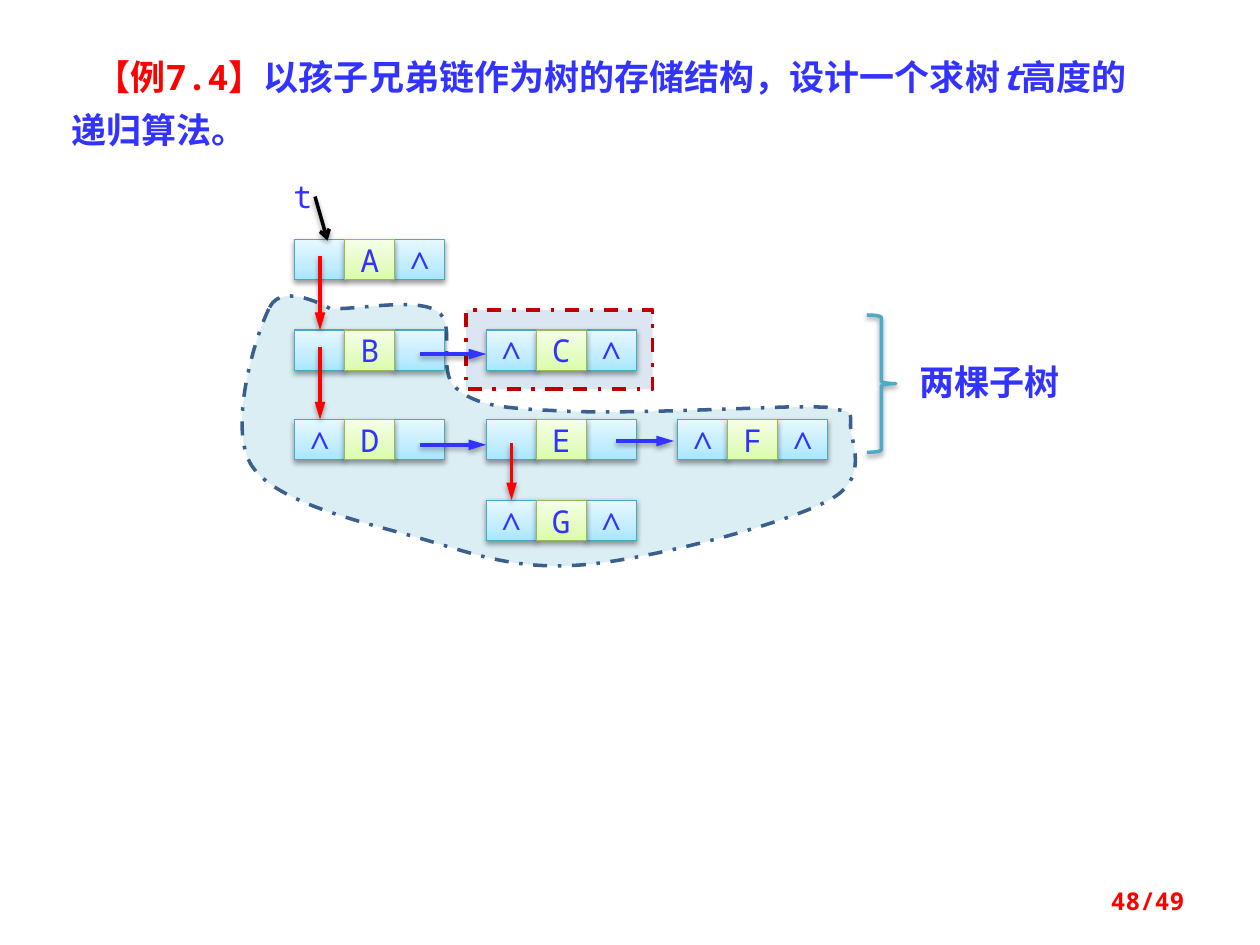
from dataclasses import dataclass
from typing import Any, NamedTuple, Optional

import pptx
import pptx.dml.color
import pptx.enum.dml
import pptx.enum.shapes
import pptx.enum.text
import pptx.oxml.ns
import pptx.util
from copy import deepcopy
from lxml import etree

Inches = pptx.util.Inches
Pt = pptx.util.Pt
Shape = pptx.enum.shapes.MSO_SHAPE
Align = pptx.enum.text.PP_ALIGN
Anchor = pptx.enum.text.MSO_ANCHOR
qn = pptx.oxml.ns.qn


@dataclass(frozen=True)
class Theme:
    mono: str = "Noto Sans Mono"
    hans: str = "Noto Sans CJK SC"
    blue: str = "3333FF"
    red: str = "FF0000"
    black: str = "000000"
    teal: str = "4BACC6"
    zone_fill: str = "DBEEF4"
    zone_line: str = "3A5F8C"
    leaf_fill: str = "DCE6F2"
    leaf_line: str = "C00000"
    link_line: str = "46AAC5"
    link_stops: tuple = ("A7E6FF", "C1EDFF", "E7F8FF")
    data_line: str = "98B955"
    data_stops: tuple = ("DAFDA7", "E4FCC2", "F5FFE7")
    big: int = 20
    body: int = 18
    small: int = 14
    thin: float = 0.75
    thick: float = 2


THEME = Theme()
NODE_W = 1.19
CELL_W, CELL_H = NODE_W / 3, 0.32
COLS = [2.34 + 1.52 * i for i in range(3)]
ROWS = [1.9, 2.62, 3.33, 3.97]
NIL = "∧"


class Node(NamedTuple):
    name: str
    col: int
    row: int
    child: str
    next: str


class Arrow(NamedTuple):
    start: tuple
    end: tuple
    color: str
    head: str = "triangle"
    reach: str = "lg"


NODES = [
    Node("A", 0, 0, "", NIL),
    Node("B", 0, 1, "", ""),
    Node("C", 1, 1, NIL, NIL),
    Node("D", 0, 2, NIL, ""),
    Node("E", 1, 2, "", ""),
    Node("F", 2, 2, NIL, NIL),
    Node("G", 1, 3, NIL, NIL),
]

ARROWS = [
    Arrow((2.54, 2.03), (2.54, 2.62), THEME.red),
    Arrow((2.54, 2.75), (2.54, 3.33), THEME.red),
    Arrow((4.06, 3.52), (4.06, 3.97), THEME.red),
    Arrow((3.33, 2.81), (3.86, 2.81), THEME.blue),
    Arrow((3.33, 3.53), (3.86, 3.53), THEME.blue),
    Arrow((4.89, 3.5), (5.35, 3.5), THEME.blue),
    Arrow((2.5, 1.56), (2.6, 1.91), THEME.black, "arrow", "med"),
]

# Each curve: two control points, then its end.
ZONE_START = (2.14, 2.44)
ZONE_CURVES = [
    ((2.24, 2.23), (2.62, 2.45), (2.62, 2.45)),
    ((2.84, 2.46), (3.3, 2.36), (3.47, 2.47)),
    ((3.63, 2.57), (3.46, 2.95), (3.62, 3.08)),
    ((3.78, 3.22), (3.98, 3.24), (4.42, 3.26)),
    ((4.87, 3.29), (5.89, 3.24), (6.26, 3.23)),
    ((6.63, 3.23), (6.56, 3.23), (6.64, 3.25)),
    ((6.73, 3.27), (6.76, 3.25), (6.75, 3.37)),
    ((6.74, 3.49), (6.92, 3.79), (6.58, 3.97)),
    ((6.23, 4.16), (5.19, 4.43), (4.66, 4.48)),
    ((4.12, 4.53), (3.8, 4.41), (3.36, 4.28)),
    ((2.91, 4.15), (2.2, 4), (2, 3.7)),
    ((1.8, 3.4), (2.03, 2.65), ZONE_START),
]


def rgb(code: str) -> pptx.dml.color.RGBColor:
    return pptx.dml.color.RGBColor.from_string(code)


def stroke(item: Any, color: str, width: float, dashed: bool = False) -> None:
    item.line.color.rgb = rgb(color)
    item.line.width = Pt(width)
    if dashed:
        item.line.dash_style = pptx.enum.dml.MSO_LINE.DASH_DOT


def paint(item: Any, color: str) -> None:
    item.fill.solid()
    item.fill.fore_color.rgb = rgb(color)


def cast(item: Any) -> None:
    """Give the item a soft shadow below; call it after the line is set."""
    effects = etree.SubElement(item.element.spPr, qn("a:effectLst"))
    outer = etree.SubElement(effects, qn("a:outerShdw"), blurRad=str(Pt(3.1)),
                             dist=str(Pt(1.6)), dir="5400000", rotWithShape="0")
    tint = etree.SubElement(outer, qn("a:srgbClr"), val=THEME.black)
    etree.SubElement(tint, qn("a:alpha"), val="38000")


def style(para: Any, size: int, color: str, bold: bool = False) -> None:
    font = para.font
    font.size, font.bold, font.name = Pt(size), bold, THEME.mono
    font.color.rgb = rgb(color)
    etree.SubElement(para._p.pPr.find(qn("a:defRPr")), qn("a:ea"),
                     typeface=THEME.hans)


def label(shapes: Any, box: tuple, text: str, size: int, color: str,
          bold: bool = False, align: Optional[Any] = None) -> Any:
    frame = shapes.add_textbox(*map(Inches, box)).text_frame
    frame.word_wrap = True
    para = frame.paragraphs[0]
    if text:
        para.add_run().text = text
    if align is not None:
        para.alignment = align
    style(para, size, color, bold)
    return frame


def draw_cell(shapes: Any, left: float, top: float, text: str,
              stops: tuple, line: str) -> None:
    cell = shapes.add_shape(Shape.RECTANGLE, *map(Inches, (left, top, CELL_W, CELL_H)))
    cell.fill.gradient()
    cell.fill.gradient_angle = 90
    first = cell.fill._xPr.find(".//" + qn("a:gs"))
    first.addnext(deepcopy(first))
    for stop, place, code in zip(cell.fill.gradient_stops, (0, 0.35, 1), stops):
        stop.color.rgb = rgb(code)
        stop.position = place
    stroke(cell, line, THEME.thin)
    cast(cell)
    if text:
        frame = cell.text_frame
        frame.word_wrap = False
        frame.vertical_anchor = Anchor.MIDDLE
        para = frame.paragraphs[0]
        para.add_run().text = text
        para.alignment = Align.CENTER
        style(para, THEME.body, THEME.blue)


def draw_node(shapes: Any, node: Node) -> None:
    """Draw both link cells, then the data cell over their edges."""
    left, top = COLS[node.col], ROWS[node.row]
    for slot, text in ((0, node.child), (2, node.next)):
        draw_cell(shapes, left + slot * CELL_W, top, text,
                  THEME.link_stops, THEME.link_line)
    draw_cell(shapes, left + CELL_W, top, node.name,
              THEME.data_stops, THEME.data_line)


def draw_arrow(shapes: Any, arrow: Arrow) -> None:
    line = shapes.add_connector(pptx.enum.shapes.MSO_CONNECTOR.STRAIGHT,
                                *map(Inches, arrow.start + arrow.end))
    stroke(line, arrow.color, THEME.thick)
    etree.SubElement(line.line._ln, qn("a:tailEnd"), type=arrow.head,
                     w="med", len=arrow.reach)
    cast(line)


def draw_zone(shapes: Any) -> None:
    """Outline the larger subtree, joining each three points into a curve."""
    maker = shapes.build_freeform(*map(Inches, ZONE_START))
    maker.add_line_segments([tuple(map(Inches, point))
                             for curve in ZONE_CURVES for point in curve])
    zone = maker.convert_to_shape()
    legs = list(zone.element.spPr.iter(qn("a:lnTo")))
    route = legs[0].getparent()
    for i in range(0, len(legs), 3):
        curve = etree.SubElement(route, qn("a:cubicBezTo"))
        for leg in legs[i:i + 3]:
            curve.append(leg[0])
            route.remove(leg)
    etree.SubElement(route, qn("a:close"))
    zone.shadow.inherit = False
    paint(zone, THEME.zone_fill)
    stroke(zone, THEME.zone_line, THEME.thick, True)


def draw_trees(shapes: Any) -> None:
    draw_zone(shapes)
    leaf = shapes.add_shape(Shape.RECTANGLE, *map(Inches, (3.7, 2.46, 1.48, 0.63)))
    leaf.shadow.inherit = False
    paint(leaf, THEME.leaf_fill)
    stroke(leaf, THEME.leaf_line, THEME.thick, True)
    label(shapes, (7.2, 2.81, 1.41, 0.44), "两棵子树", THEME.big, THEME.blue, True)
    brace = shapes.add_shape(Shape.RIGHT_BRACE, *map(Inches, (6.88, 2.5, 0.23, 1.09)))
    brace.fill.background()
    stroke(brace, THEME.teal, THEME.thick)
    cast(brace)


def draw_title(shapes: Any) -> None:
    frame = label(shapes, (0.47, 0.31, 8.67, 0.9), "", THEME.big, THEME.blue, True)
    para = frame.paragraphs[0]
    para.line_spacing = Pt(30)
    para._p.pPr.set("indent", str(Inches(0.19)))
    for text, color, slant in (
            ("【例7.4】", THEME.red, False),
            ("以孩子兄弟链作为树的存储结构，设计一个求树", THEME.blue, False),
            ("t", THEME.blue, True),
            ("高度的递归算法。", THEME.blue, False)):
        run = para.add_run()
        run.text = text
        run.font.color.rgb = rgb(color)
        run.font.italic = slant


def main() -> None:
    deck = pptx.Presentation()
    deck.slide_width, deck.slide_height = Inches(10), Inches(7.5)
    shapes = deck.slides.add_slide(deck.slide_layouts[6]).shapes
    draw_trees(shapes.add_group_shape().shapes)
    draw_title(shapes)
    chain = shapes.add_group_shape().shapes
    for node in NODES:
        draw_node(chain, node)
    for arrow in ARROWS:
        draw_arrow(chain, arrow)
    label(chain, (2.23, 1.36, 0.33, 0.4), "t", THEME.body, THEME.blue,
          align=Align.CENTER)
    page = label(shapes, (7.17, 6.95, 2.33, 0.4), "48/49", THEME.small,
                 THEME.red, True, Align.RIGHT)
    page.vertical_anchor = Anchor.MIDDLE
    deck.save("out.pptx")


if __name__ == "__main__":
    main()
